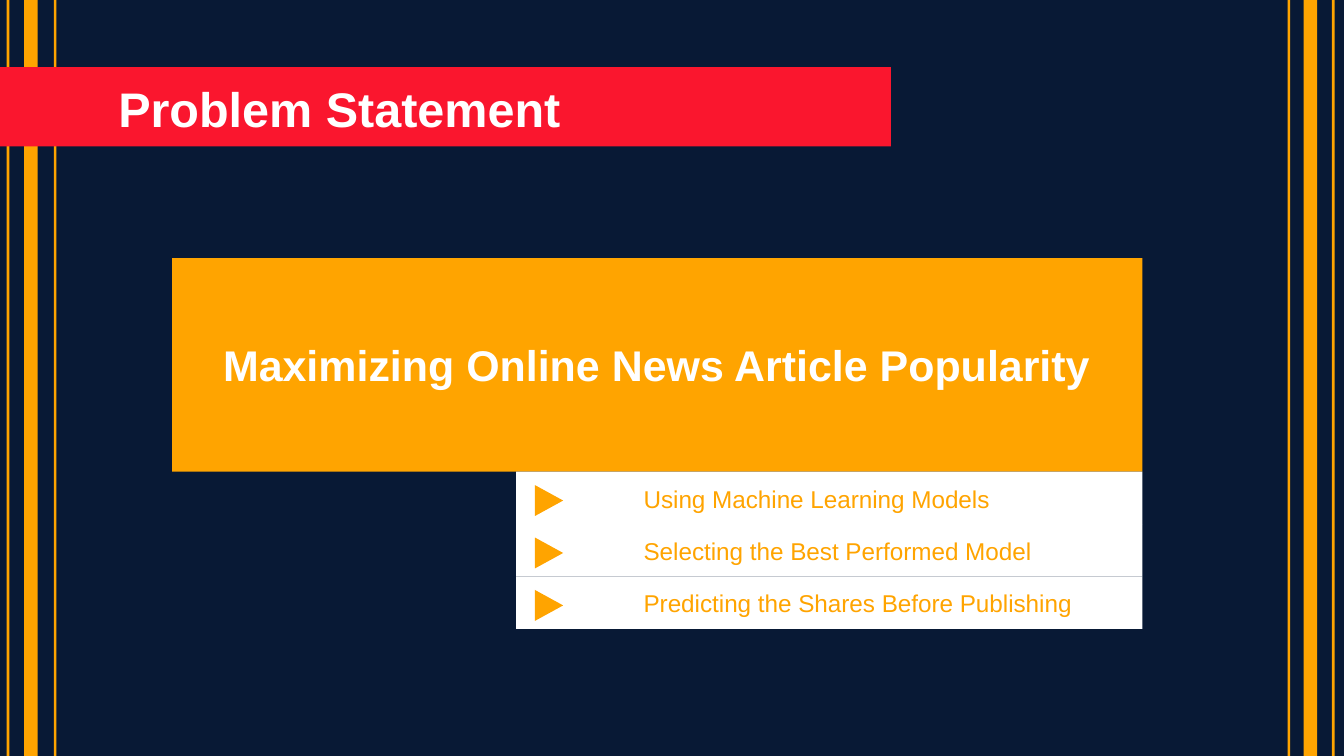
from pptx import Presentation
from pptx.dml.color import RGBColor
from pptx.enum.shapes import MSO_SHAPE
from pptx.enum.text import MSO_ANCHOR, MSO_AUTO_SIZE, PP_ALIGN
from pptx.util import Inches, Pt

COLORS = {"navy": "081935", "orange": "FFA400", "red": "FA162E", "white": "FFFFFF"}
WIDTH = 10
HEIGHT = WIDTH * 9 / 16

presentation = Presentation()
presentation.slide_width = Inches(WIDTH)
presentation.slide_height = Inches(HEIGHT)
slide = presentation.slides.add_slide(presentation.slide_layouts[0])
slide.background.fill.solid()
slide.background.fill.fore_color.rgb = RGBColor.from_string(COLORS["navy"])


def add_block(left, top, width, height, color, kind=MSO_SHAPE.RECTANGLE):
    shape = slide.shapes.add_shape(
        kind, Inches(left), Inches(top), Inches(width), Inches(height))
    shape.shadow.inherit = False
    shape.fill.solid()
    shape.fill.fore_color.rgb = RGBColor.from_string(COLORS[color])
    shape.line.fill.background()
    return shape


def write_text(shape, box, text, size, color, bold, align, anchor, inset):
    shape.left, shape.top, shape.width, shape.height = [Inches(value) for value in box]
    frame = shape.text_frame
    frame.text = text
    frame_format = {
        "word_wrap": True, "auto_size": MSO_AUTO_SIZE.NONE, "vertical_anchor": anchor,
        "margin_left": Inches(0.1), "margin_right": Inches(0.1),
        "margin_top": Inches(inset), "margin_bottom": Inches(inset),
    }
    for name, value in frame_format.items():
        setattr(frame, name, value)
    paragraph = frame.paragraphs[0]
    paragraph.alignment = align
    paragraph.space_before = Pt(0)
    font = paragraph.runs[0].font
    for name, value in {"name": "Arial", "size": Pt(size), "bold": bold}.items():
        setattr(font, name, value)
    font.color.rgb = RGBColor.from_string(COLORS[color])
    return paragraph


for left, width in [(0.05, 0.02), (0.18, 0.1), (0.4, 0.02),
                    (9.58, 0.02), (9.7, 0.1), (9.91, 0.02)]:
    add_block(left, 0, width, HEIGHT, "orange")

add_block(0, 0.5, 6.63, 0.59, "red")
title = slide.shapes.title
slide.shapes._spTree.append(title._element)
write_text(title, (0.78, 0.49, 8.43, 0.63), "Problem Statement",
           26, "white", True, PP_ALIGN.LEFT, MSO_ANCHOR.TOP, 0.1)

add_block(1.28, 1.92, 7.22, 1.59, "orange")
subtitle = slide.placeholders[1]
slide.shapes._spTree.append(subtitle._element)
write_text(subtitle, (1.28, 1.94, 7.22, 1.54), "Maximizing Online News Article Popularity",
           23, "white", True, PP_ALIGN.CENTER, MSO_ANCHOR.MIDDLE, 0.1)

goals = [
    "Using Machine Learning Models",
    "Selecting the Best Performed Model",
    "Predicting the Shares Before Publishing",
]
ROW_HEIGHT = 0.39
for index, goal in enumerate(goals):
    top = 3.51 + index * ROW_HEIGHT
    add_block(3.84, top, 4.66, ROW_HEIGHT, "white")
    marker = add_block(3.97, top + 0.11, 0.23, 0.21, "orange", MSO_SHAPE.ISOSCELES_TRIANGLE)
    marker.rotation = 90
    box = (4.19, top + 0.04, 4.31, 0.32)
    label = slide.shapes.add_textbox(*[Inches(value) for value in box])
    paragraph = write_text(label, box, goal, 13, "orange", False,
                           PP_ALIGN.LEFT, MSO_ANCHOR.TOP, 0.05)
    properties = paragraph._p.get_or_add_pPr()
    properties.set("marL", "0")
    properties.set("indent", str(Inches(0.5)))

presentation.save("out.pptx")
